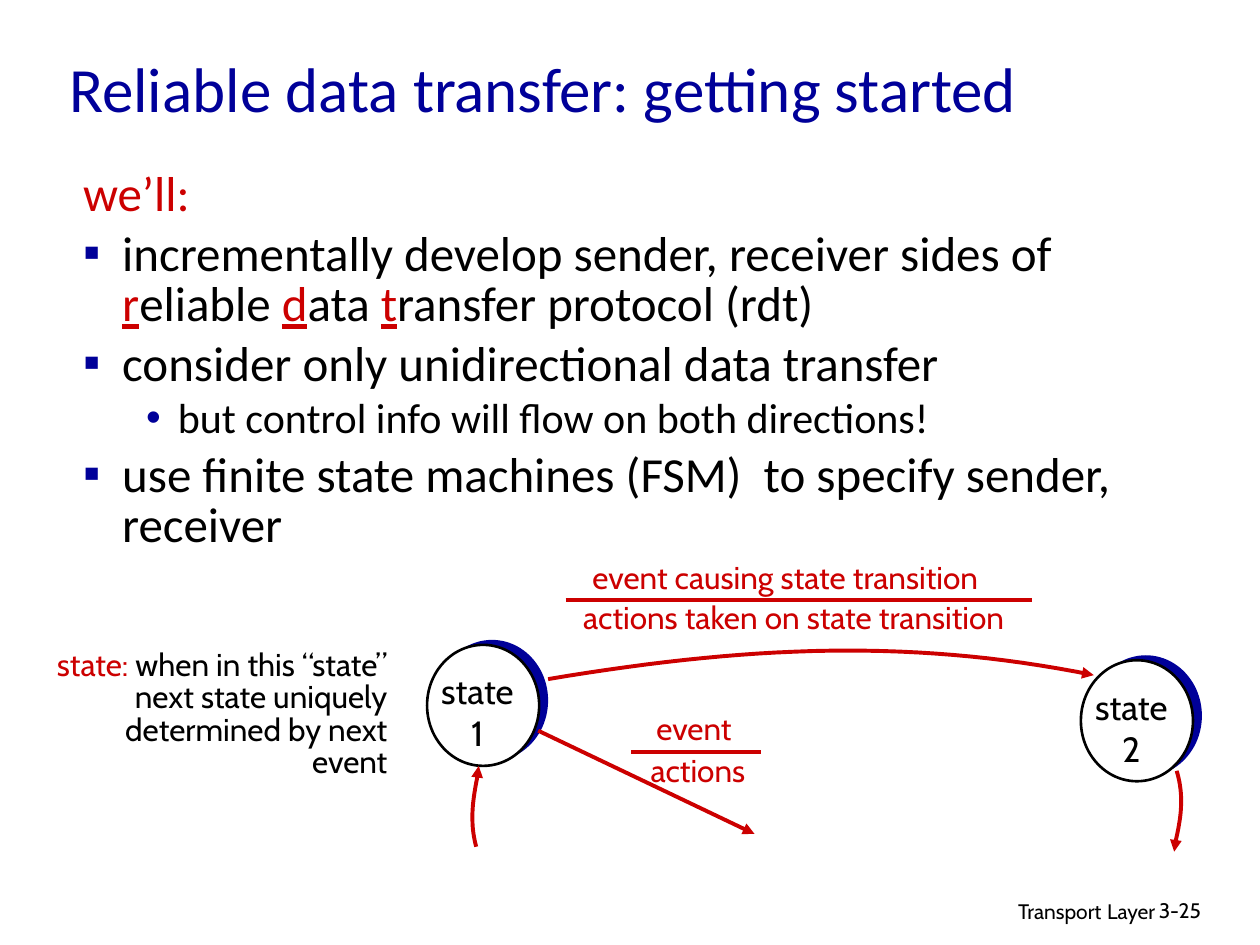
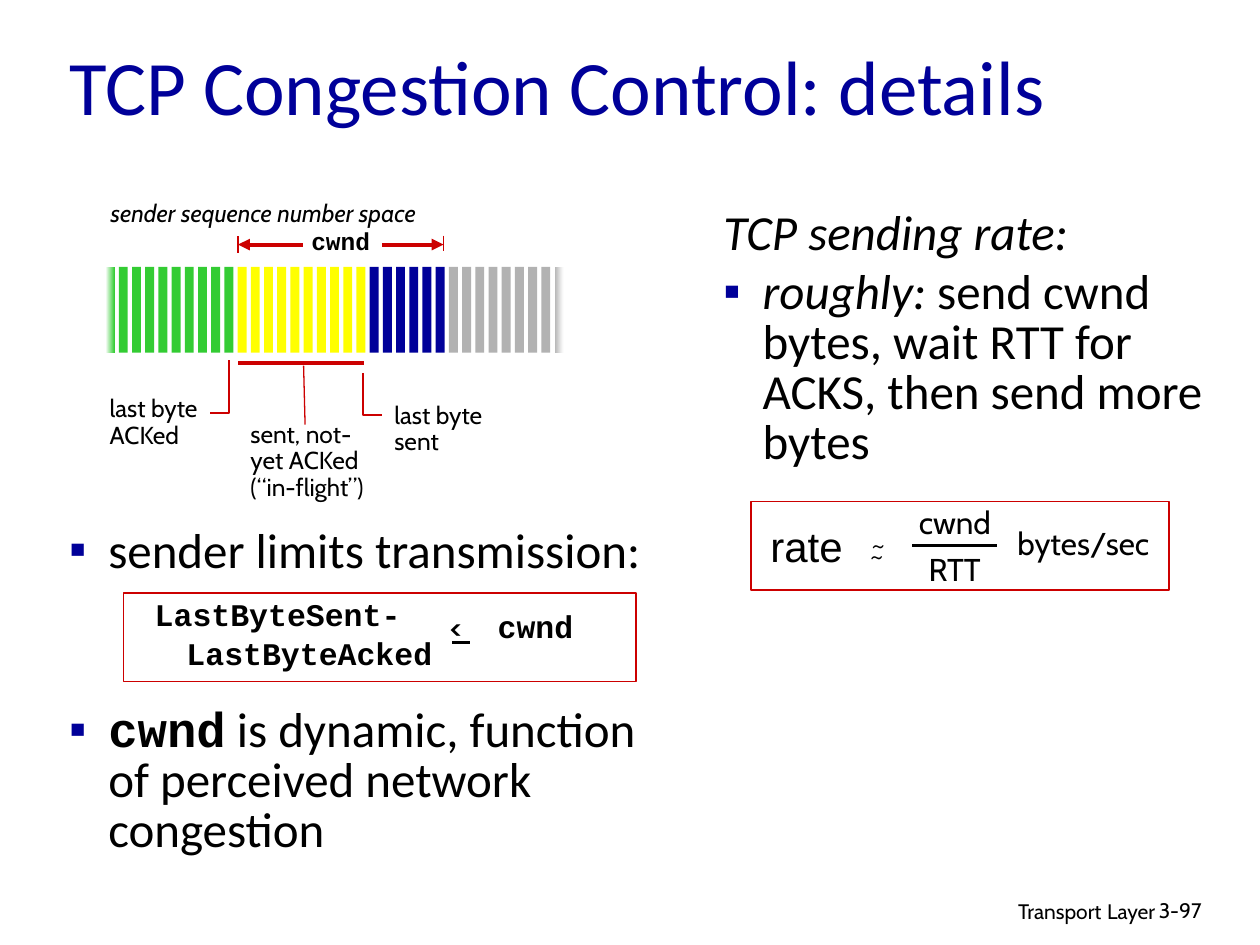
"""Builds two slides on reliable data transfer and congestion control."""
import lxml.etree
import pptx
import pptx.dml.color
import pptx.enum.shapes
import pptx.enum.text
import pptx.oxml.ns
import pptx.util

Cm, Pt = pptx.util.Cm, pptx.util.Pt
qn = pptx.oxml.ns.qn
SubElement = lxml.etree.SubElement
Align = pptx.enum.text.PP_ALIGN
Fit = pptx.enum.text.MSO_AUTO_SIZE
Shape = pptx.enum.shapes.MSO_SHAPE
HEX = {"navy": "000099", "red": "CC0000", "black": "000000", "white": "FFFFFF",
       "green": "33CC33", "yellow": "FFFF00", "gray": "B2B2B2"}
RGB = {name: pptx.dml.color.RGBColor.from_string(code) for name, code in HEX.items()}
MONO = "Courier New"


def write(box, at, rows, size=18, font="Cabin", tint="black", align=Align.LEFT,
          wrap=True, lead=None, gap=0, **style):
    """Place a text box and fill it with rows of runs."""
    box.left, box.top, box.width, box.height = map(Cm, at)
    frame = box.text_frame
    frame.word_wrap = wrap
    frame.auto_size = Fit.NONE if wrap else Fit.SHAPE_TO_FIT_TEXT
    for n, row in enumerate(rows):
        para = frame.add_paragraph() if n else frame.paragraphs[0]
        para.alignment = align
        para.space_before = Pt(gap if n else 0)
        if lead:
            para.line_spacing = lead
        for part in [row] if isinstance(row, str) else row:
            words, extra = (part, {}) if isinstance(part, str) else part
            look = {"name": font, "size": size, "tint": tint, **style, **extra}
            run = para.add_run()
            run.text = words
            run.font.color.rgb = RGB[look.pop("tint")]
            run.font.size = Pt(look.pop("size"))
            for key, value in look.items():
                setattr(run.font, key, value)


def stroke(slide, dots, width=2.25, tint="red", head=False):
    """Draw a straight line, a bent line or, from four points, a Bezier curve."""
    if len(dots) == 4:
        steps = [n / 30 for n in range(31)]
        dots = [[(1 - t) ** 3 * a + 3 * t * (1 - t) ** 2 * b
                 + 3 * t * t * (1 - t) * c + t ** 3 * d for a, b, c, d in zip(*dots)]
                for t in steps]
    spots = [(Cm(x), Cm(y)) for x, y in dots]
    if len(spots) == 2:
        line = slide.shapes.add_connector(
            pptx.enum.shapes.MSO_CONNECTOR.STRAIGHT, *spots[0], *spots[1])
    else:
        pen = slide.shapes.build_freeform(*spots[0])
        pen.add_line_segments(spots[1:], close=False)
        line = pen.convert_to_shape()
        line.fill.background()
    line.line.color.rgb = RGB[tint]
    line.line.width = Pt(width)
    props = line._element.spPr
    if head:
        SubElement(props.find(qn("a:ln")), qn("a:tailEnd"), type="triangle")
    SubElement(props, qn("a:effectLst"))


deck = pptx.Presentation()
deck.slide_width, deck.slide_height = Cm(25.4), Cm(19.05)
one = deck.slides.add_slide(deck.slide_layouts[1])
two = deck.slides.add_slide(deck.slide_layouts[3])

for slide, title, at, size, page in [
        (one, "Reliable data transfer: getting started", (1.14, 0.53, 21.59, 2.46), 36, "3-25"),
        (two, "TCP Congestion Control: details", (1.14, 0.64, 21.59, 2.13), 44, "3-97")]:
    write(slide.shapes.title, at, [title], size, "Calibri", "navy")
    slide.shapes.title.text_frame.vertical_anchor = pptx.enum.text.MSO_ANCHOR.MIDDLE
    write(slide.shapes.add_textbox(0, 0, 0, 0), (15.49, 17.91, 8.05, 0.79),
          [["Transport", (" ", {"size": 14}), "Layer"]], 12, align=Align.RIGHT)
    write(slide.shapes.add_textbox(0, 0, 0, 0), (23.11, 17.96, 1.88, 0.76), [page], 12)

key = {"tint": "red", "underline": True}
slant = {"italic": True}
for box, at, marks, rows in [
        (one.placeholders[1], (1.42, 3.33, 22.07, 9.32), " ▪▪•▪", [
            [("we’ll:", {"tint": "red"})],
            ["incrementally develop sender, receiver sides of ", ("r", key), "eliable ",
             ("d", key), "ata ", ("t", key), "ransfer protocol (rdt)"],
            "consider only unidirectional data transfer",
            [("but control info will flow on both directions!", {"size": 24})],
            "use finite state machines (FSM)  to specify sender, receiver"]),
        (two.placeholders[1], (1.14, 10.52, 12.6, 4.7), "▪▪", [
            "sender limits transmission:",
            [("cwnd", {"name": MONO, "bold": True}),
             " is dynamic, function of perceived network congestion"]]),
        (two.placeholders[2], (14.33, 4.11, 10.59, 6.81), " ▪", [
            [("TCP sending rate:", slant)],
            [("roughly:", slant), " send cwnd bytes, wait RTT for ACKS, then send more bytes"]])]:
    write(box, at, rows, 28, "Calibri", lead=0.85, gap=5.6)
    for mark, para in zip(marks, box.text_frame.paragraphs):
        sub = mark == "•"
        para.level = int(sub)
        if sub:
            para.space_before = Pt(4.8)
        props = para._p.get_or_add_pPr()
        props.set("marL", str(Cm(1.91 if sub else 0.79)))
        props.set("indent", str(-Cm(0.64 if sub else 0.79)))
        if mark == " ":
            SubElement(props, qn("a:buNone"))
        else:
            SubElement(SubElement(props, qn("a:buClr")), qn("a:srgbClr"), val=HEX["navy"])
            SubElement(props, qn("a:buFont"), typeface="Arial")
            SubElement(props, qn("a:buChar"), char=mark)
two.placeholders[1].text_frame.paragraphs[1].space_before = Pt(74)

for num, left, top in [("1", 8.61, 13), ("2", 21.79, 13.31)]:
    for x, y, tint in [(left + 0.18, top - 0.1, "navy"), (left, top, "white")]:
        disc = one.shapes.add_shape(Shape.OVAL, Cm(x), Cm(y), Cm(2.26), Cm(2.44))
        disc.shadow.inherit = False
        disc.fill.solid()
        disc.fill.fore_color.rgb = RGB[tint]
        disc.line.fill.background()
    disc.line.color.rgb = RGB["black"]
    disc.line.width = Pt(1.5)
    write(one.shapes.add_textbox(0, 0, 0, 0), (left, top + 0.38, 2.03, 1.96),
          ["state", num], 20, align=Align.CENTER, wrap=False)

for words, at in [("event causing state transition", (11.45, 11.13, 8.76, 1.02)),
                  ("actions taken on state transition", (11.25, 11.94, 9.5, 1.02)),
                  ("event", (12.96, 14.17, 2.06, 1.02)),
                  ("actions", (12.84, 15.01, 2.46, 1.02))]:
    write(one.shapes.add_textbox(0, 0, 0, 0), at, [words], tint="red",
          align=Align.CENTER, wrap=False)

note = one.shapes.add_textbox(0, 0, 0, 0)
write(note, (0.36, 13, 7.7, 3.43),
      [[("state:", {"tint": "red"}),
        " when in this “state” next state uniquely determined by next event"]],
      align=Align.RIGHT, lead=0.85)
props = note.text_frame.paragraphs[0]._p.get_or_add_pPr()
props.set("marL", str(Cm(0.97)))
props.set("indent", str(-Cm(0.97)))

for dots, head in [
        ([(11.4, 12.09), (20.8, 12.09)], False),
        ([(12.73, 15.16), (15.34, 15.16)], False),
        ([(10.85, 14.73), (15.21, 16.81)], True),
        ([(11.05, 13.69), (15.16, 13), (18.44, 12.88), (22.05, 13.61)], True),
        ([(9.6, 17.07), (9.4, 16.36), (9.65, 15.7), (9.65, 15.44)], True),
        ([(23.72, 15.54), (23.95, 16.28), (23.67, 16.92), (23.67, 17.17)], True)]:
    stroke(one, dots, head=head)

tints = ["green"] * 10 + ["yellow"] * 10 + ["navy"] * 6 + ["gray"] * 9
last = len(tints) - 1
step = (11.18 - 2.13) / last
for n, tint in enumerate(tints):
    bar = two.shapes.add_shape(Shape.RECTANGLE, Cm(2.13 + n * step), Cm(5.38), Cm(0.18), Cm(1.73))
    bar.shadow.inherit = False
    bar.line.fill.background()
    if n in (0, last):
        bar.fill.gradient()
        bar.fill.gradient_angle = 0
        ends = ["white", tint] if n == 0 else [tint, "white"]
        for stop, name in zip(bar.fill.gradient_stops, ends):
            stop.color.rgb = RGB[name]
    else:
        bar.fill.solid()
        bar.fill.fore_color.rgb = RGB[tint]

for dots, width, tint, head in [
        ([(4.8, 7.32), (7.34, 7.32)], 2.25, "red", False),
        ([(4.62, 7.26), (4.62, 8.33), (4.24, 8.33)], 1, "red", False),
        ([(6.12, 7.37), (6.15, 8.56)], 0.75, "red", False),
        ([(7.32, 7.52), (7.32, 8.36), (7.7, 8.36)], 1, "red", False),
        ([(7.7, 4.93), (8.94, 4.93)], 2.25, "red", True),
        ([(8.94, 4.75), (8.94, 5.05)], 0.75, "red", False),
        ([(6.1, 4.93), (4.8, 4.93)], 2.25, "red", True),
        ([(4.8, 5.1), (4.8, 4.75)], 0.75, "red", False),
        ([(9.12, 12.95), (9.47, 12.95)], 1.5, "black", False),
        ([(18.39, 11), (20.09, 11)], 1.5, "black", False)]:
    stroke(two, dots, width, tint, head)

label = {"size": 14, "lead": 0.9}
mid = {"align": Align.CENTER, "wrap": False}
code = {"font": MONO, "bold": True}
for rows, at, look in [
        (["sender sequence number space"], (1.98, 3.86, 7.57, 0.84),
         {"size": 14, "wrap": False, "italic": True}),
        (["last byte", "ACKed"], (1.96, 7.87, 2.36, 1.32), {**label, "wrap": False}),
        (["sent, not-yet ACKed", "(“in-flight”)"], (4.8, 8.38, 2.97, 1.85), label),
        (["last byte sent"], (7.7, 8, 2.97, 1.32), label),
        (["cwnd"], (6.02, 4.5, 1.7, 0.79), {**label, **mid, **code}),
        (["<"], (8.71, 12.19, 0.97, 0.94), {**mid, "size": 16, "bold": True}),
        (["cwnd"], (9.78, 12.12, 2.03, 1.02), {**mid, **code}),
        (["rate"], (15.27, 10.36, 1.98, 1.27), {**mid, "size": 24, "font": "Arial"}),
        (["~"], (16.41, 10.41, 2.59, 1.02), {"align": Align.CENTER}),
        (["~"], (16.38, 10.64, 2.59, 1.02), {"align": Align.CENTER}),
        (["cwnd"], (18.26, 10.01, 1.98, 1.02), mid),
        (["RTT"], (18.42, 10.97, 1.65, 1.02), mid),
        (["bytes/sec"], (19.84, 10.44, 4, 1.02), {"align": Align.CENTER})]:
    write(two.shapes.add_textbox(0, 0, 0, 0), at, rows, **look)

limit = two.shapes.add_textbox(0, 0, 0, 0)
write(limit, (2.87, 11.99, 7.82, 1.7), ["LastByteSent-", "LastByteAcked"],
      lead=0.85, gap=3.6, **code)
limit.text_frame.paragraphs[1]._p.get_or_add_pPr().set("marL", str(Cm(0.64)))

for at in [(2.49, 11.96, 10.34, 1.78), (15.14, 10.11, 8.43, 1.78)]:
    box = two.shapes.add_shape(Shape.RECTANGLE, *map(Cm, at))
    box.shadow.inherit = False
    box.fill.background()
    box.line.color.rgb = RGB["red"]
    box.line.width = Pt(1)

deck.save("out.pptx")
